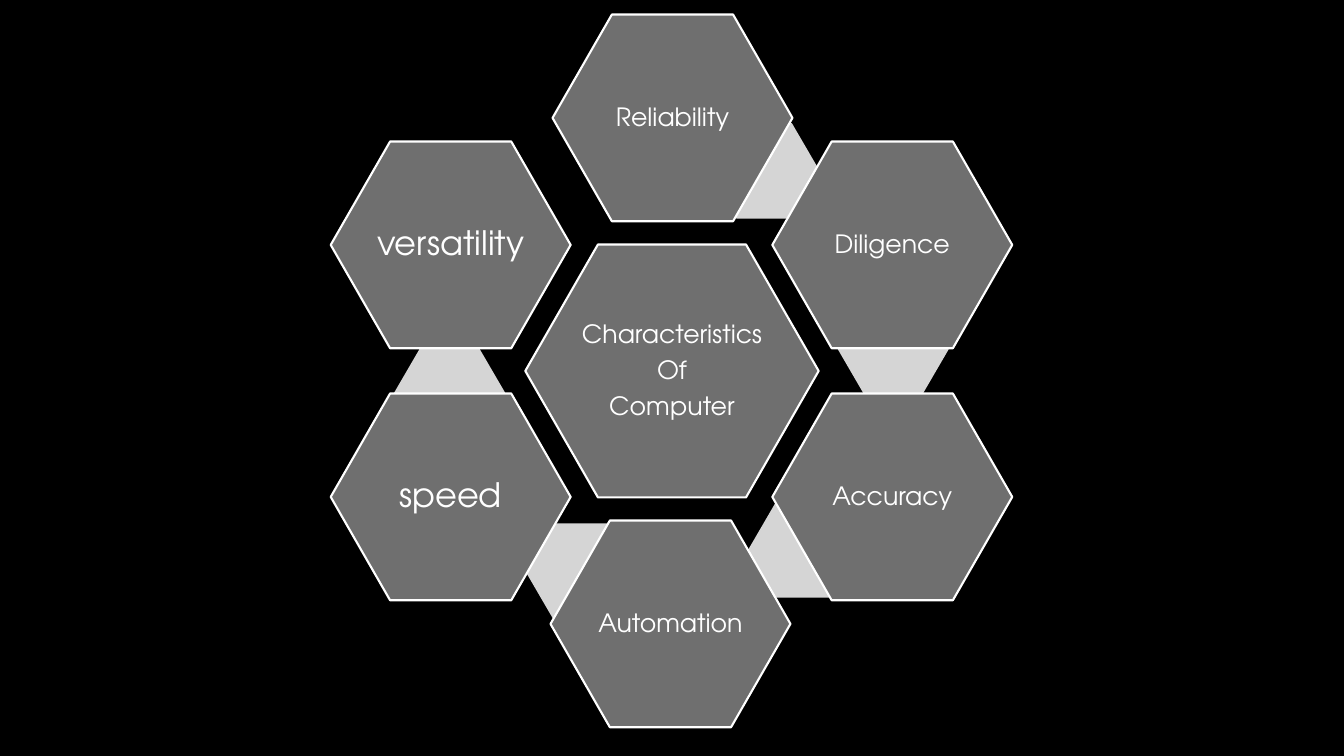
from pptx import Presentation
from pptx.dml.color import RGBColor
from pptx.enum.shapes import MSO_SHAPE
from pptx.enum.text import MSO_ANCHOR, PP_ALIGN
from pptx.util import Pt

PX = 9144
BLACK = RGBColor(0x00, 0x00, 0x00)
WHITE = RGBColor(0xFF, 0xFF, 0xFF)
GREY = RGBColor(0x6F, 0x6F, 0x6F)
SILVER = RGBColor(0xD5, 0xD5, 0xD5)
FONT = "TeX Gyre Adventor"

HUB_BOX = (193, 228, 291, 252)
HUB_LINES = ["Characteristics", "Of", "Computer"]
CELL_SIZE = (238, 206)
ACCENT_SIZE = (110, 95)
RING = [
    ("Reliability", 18, (220, 0), (375, 108)),
    ("Diligence", 18, (438, 126), (503, 285)),
    ("Accuracy", 18, (438, 376), (414, 484)),
    ("Automation", 18, (218, 502), (193, 505)),
    ("speed", 24, (0, 376), (63, 328)),
    ("versatility", 24, (0, 126), None),
]


def add_hexagon(slide, box, fill, adj):
    """Add a plain hexagon with the given fill and corner adjustment."""
    sp = slide.shapes.add_shape(MSO_SHAPE.HEXAGON, *(v * PX for v in box))
    sp.shadow.inherit = False
    sp.adjustments[0] = adj
    sp.adjustments[1] = 1.15
    sp.fill.solid()
    sp.fill.fore_color.rgb = fill
    return sp


def add_accent(slide, box):
    """Add a borderless hexagon that links two neighbouring cells."""
    sp = add_hexagon(slide, box, SILVER, 0.29)
    sp.line.fill.background()


def add_cell(slide, box, lines, size):
    """Add an outlined hexagon with centred lines of text."""
    sp = add_hexagon(slide, box, GREY, 0.286)
    sp.line.color.rgb = WHITE
    sp.line.width = Pt(1.5)
    tf = sp.text_frame
    frame_format = {"word_wrap": True, "vertical_anchor": MSO_ANCHOR.MIDDLE}
    frame_format |= {f"margin_{side}": 3 * PX for side in ("left", "top", "right", "bottom")}
    for name, value in frame_format.items():
        setattr(tf, name, value)
    para_format = {
        "alignment": PP_ALIGN.CENTER,
        "line_spacing": 0.9,
        "space_after": Pt(0.35 * size),
    }
    for i, line in enumerate(lines):
        p = tf.add_paragraph() if i else tf.paragraphs[0]
        for name, value in para_format.items():
            setattr(p, name, value)
        r = p.add_run()
        r.text = line
        for name, value in {"name": FONT, "size": Pt(size)}.items():
            setattr(r.font, name, value)
        r.font.color.rgb = WHITE


def add_hexagon_ring(slide, box):
    """Place the hub, the six cells and their links inside the box."""
    left, top = box[:2]

    def place(offset, size):
        """Turn an offset within the ring into a slide box."""
        return (left + offset[0], top + offset[1], *size)

    add_cell(slide, place(HUB_BOX[:2], HUB_BOX[2:]), HUB_LINES, 18)
    for label, size, cell, accent in RING:
        if accent:
            add_accent(slide, place(accent, ACCENT_SIZE))
        add_cell(slide, place(cell, CELL_SIZE), [label], size)


def main():
    """Build and save the presentation."""
    prs = Presentation()
    prs.slide_width, prs.slide_height = 1333 * PX, 750 * PX
    s = prs.slides.add_slide(prs.slide_layouts[6])
    s.background.fill.solid()
    s.background.fill.fore_color.rgb = BLACK
    add_hexagon_ring(s, (328, 14, 676, 708))
    prs.save("out.pptx")


if __name__ == "__main__":
    main()
